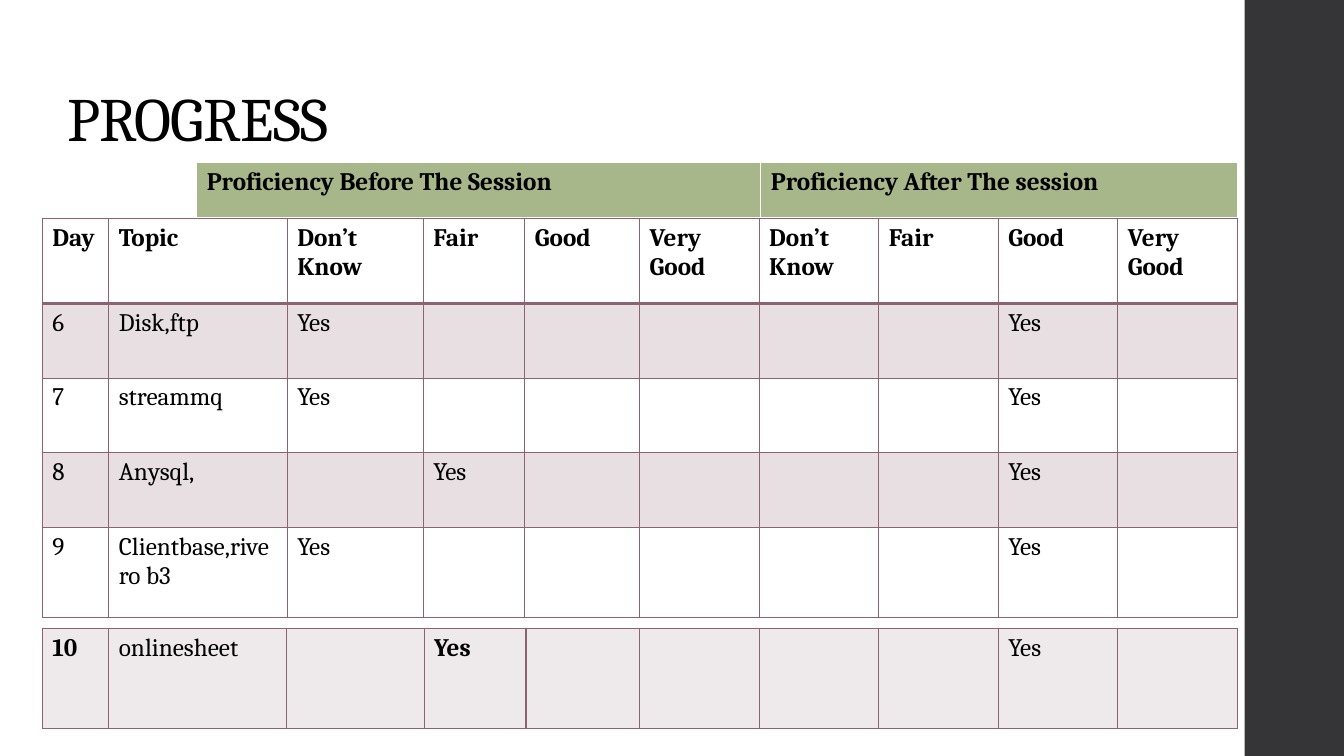
import pptx
import pptx.util
import pptx.dml.color
import pptx.enum.shapes
import pptx.enum.text
import pptx.oxml.ns
import lxml.etree

Pt = pptx.util.Pt
RGBColor = pptx.dml.color.RGBColor
qn = pptx.oxml.ns.qn

BLACK = RGBColor(0x00, 0x00, 0x00)
WHITE = RGBColor(0xFF, 0xFF, 0xFF)
CHARCOAL = RGBColor(0x35, 0x35, 0x37)
GREEN = RGBColor(0xA7, 0xB7, 0x89)
MAUVE = RGBColor(0x8D, 0x63, 0x74)
PALE = RGBColor(0xEE, 0xEA, 0xEB)
FONT = "Cambria"


def add_span(para, text, size, bold=False):
    span = para.add_run()
    span.text = text
    span.font.name = FONT
    span.font.size = Pt(size)
    span.font.bold = bold
    span.font.color.rgb = BLACK
    return span


def add_grid(page, left, top, widths, heights, rows, line, style):
    """Draw a table; style(row, column) gives fill, alpha percent, bold, and top and bottom line widths."""
    frame = page.shapes.add_table(len(heights), len(widths), Pt(left), Pt(top),
                                  Pt(sum(widths)), Pt(sum(heights)))
    table = frame.table
    table.first_row = False
    table.horz_banding = False
    for column, width in zip(table.columns, widths):
        column.width = Pt(width)
    for r, texts in enumerate(rows):
        table.rows[r].height = Pt(heights[r])
        for c, text in enumerate(texts):
            cell = table.cell(r, c)
            color, alpha, bold, top_line, bottom_line = style(r, c)
            if text:
                add_span(cell.text_frame.paragraphs[0], text, 18, bold)
            props = cell._tc.get_or_add_tcPr()
            edges = {"a:lnL": 1, "a:lnR": 1, "a:lnT": top_line, "a:lnB": bottom_line}
            for tag, width in edges.items():
                edge = lxml.etree.SubElement(props, qn(tag), w=str(Pt(width)))
                solid = lxml.etree.SubElement(edge, qn("a:solidFill"))
                lxml.etree.SubElement(solid, qn("a:srgbClr"), val=str(line))
            if color is None:
                cell.fill.background()
                continue
            cell.fill.solid()
            cell.fill.fore_color.rgb = color
            if alpha < 100:
                tint = props.find(qn("a:solidFill")).find(qn("a:srgbClr"))
                lxml.etree.SubElement(tint, qn("a:alpha"), val=str(alpha * 1000))


deck = pptx.Presentation()
deck.slide_width = Pt(960)
deck.slide_height = Pt(540)
page = deck.slides.add_slide(deck.slide_layouts[6])
page.background.fill.solid()
page.background.fill.fore_color.rgb = WHITE

side_bar = page.shapes.add_shape(pptx.enum.shapes.MSO_SHAPE.RECTANGLE,
                                 Pt(889), Pt(0), Pt(71), Pt(540))
side_bar.shadow.inherit = False
side_bar.fill.solid()
side_bar.fill.fore_color.rgb = CHARCOAL
side_bar.line.fill.background()

title_box = page.shapes.add_textbox(Pt(41), Pt(28.8), Pt(821.5), Pt(85))
title_box.text_frame.word_wrap = True
title_box.text_frame.vertical_anchor = pptx.enum.text.MSO_ANCHOR.BOTTOM
title_para = title_box.text_frame.paragraphs[0]
title_para.line_spacing = 0.9
title_span = add_span(title_para, "PROGRESS", 44)
title_span.font._element.set("spc", "-50")

add_grid(page, 140.5, 116, [403, 340.5], [40],
         [["Proficiency Before The Session", "Proficiency After The session"]],
         WHITE, lambda r, c: (GREEN, 100, True, 1, 3))

levels = ["Don’t Know", "Fair", "Good", "Very Good"]
LEVEL_COUNT = len(levels)


def topic_row(day, topic, before, after):
    """Mark the levels reached before and after the session."""
    marks = [""] * (2 * LEVEL_COUNT)
    marks[levels.index(before)] = "Yes"
    marks[LEVEL_COUNT + levels.index(after)] = "Yes"
    return [day, topic] + marks


day_rows = [
    ["Day", "Topic"] + levels * 2,
    topic_row("6", "Disk,ftp", "Don’t Know", "Good"),
    topic_row("7", "streammq", "Don’t Know", "Good"),
    topic_row("8", "Anysql,", "Fair", "Good"),
    topic_row("9", "Clientbase,rivero b3", "Don’t Know", "Good"),
]
add_grid(page, 30.25, 156.25, [47.5, 127.5, 97.25, 72.5, 82] + [85.4] * 5,
         [60.5, 53.4, 53.4, 53.4, 64], day_rows, MAUVE,
         lambda r, c: (MAUVE if r % 2 else None, 20, r == 0,
                       2 if r == 1 else 1, 2 if r == 0 else 1))

add_grid(page, 30.25, 449, [47.5, 126.75, 98.5, 72.75, 81.25] + [85.4] * 5,
         [71.5], [topic_row("10", "onlinesheet", "Fair", "Good")], MAUVE,
         lambda r, c: (PALE, 100, c in (0, 3), 1, 1))

deck.save("out.pptx")
